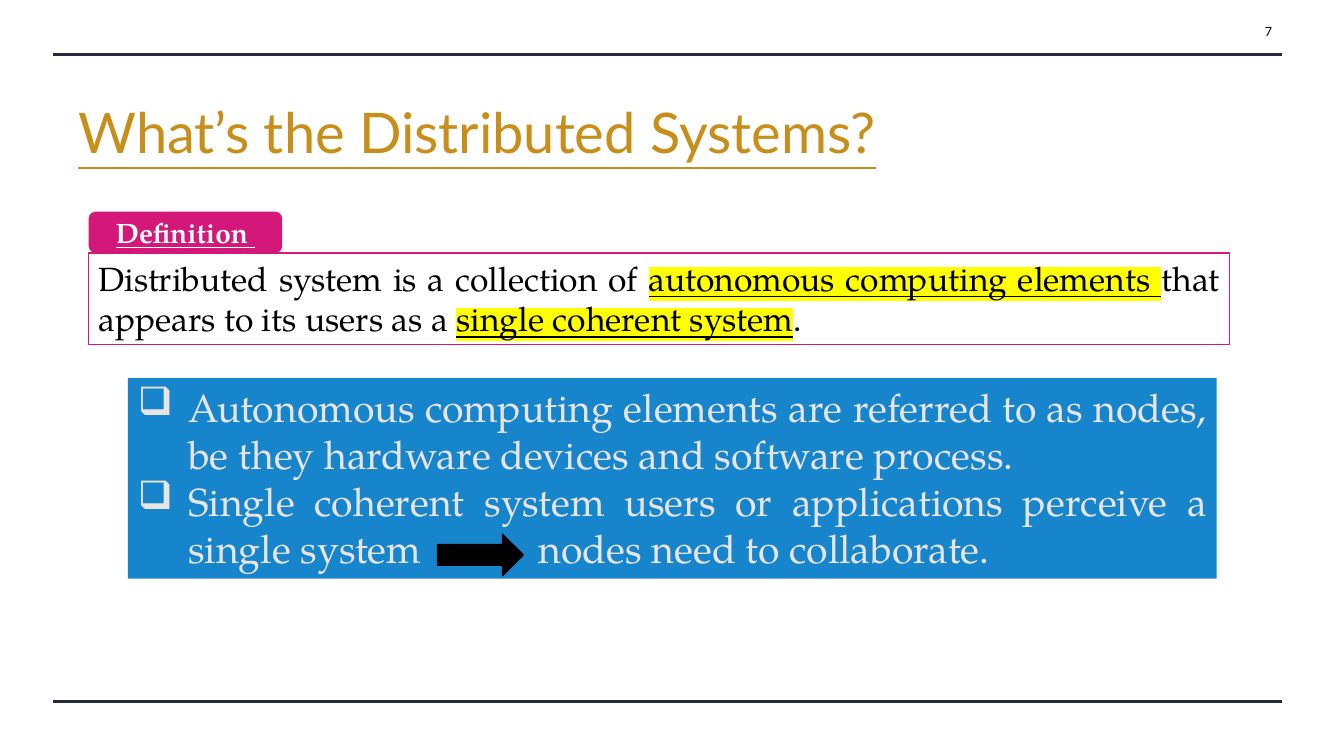
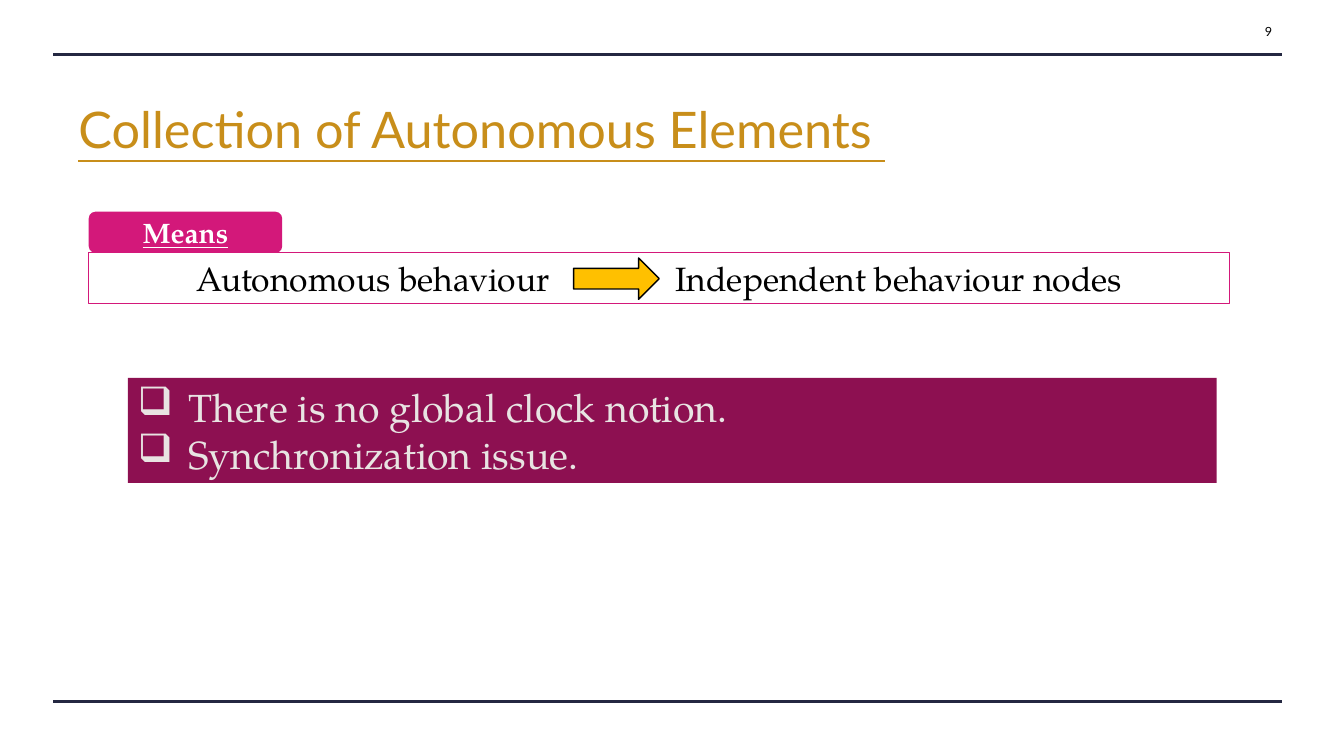
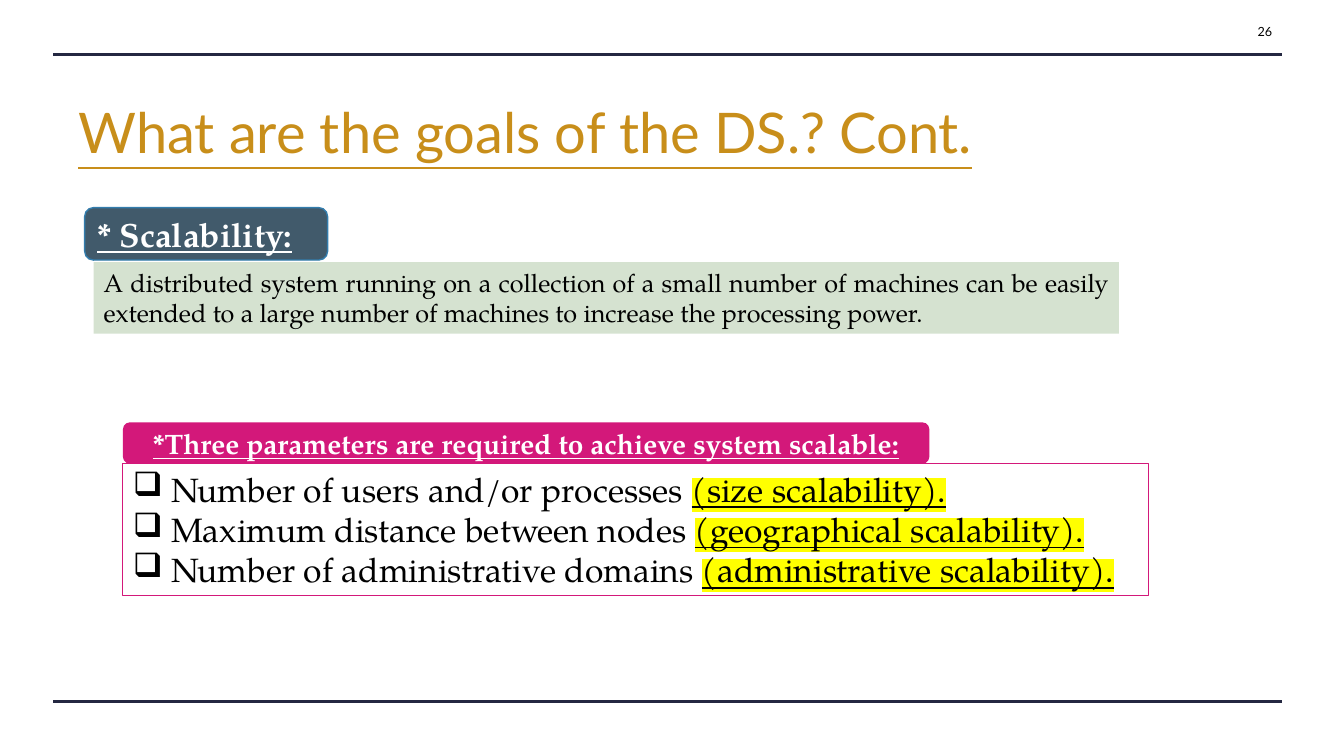
from pptx import Presentation
from pptx.dml.color import RGBColor
from pptx.enum.shapes import MSO_CONNECTOR, MSO_SHAPE
from pptx.enum.text import MSO_ANCHOR, PP_ALIGN
from pptx.oxml.ns import qn
from pptx.util import Pt
from lxml import etree

RECT, ROUND, ARROW = MSO_SHAPE.RECTANGLE, MSO_SHAPE.ROUNDED_RECTANGLE, MSO_SHAPE.RIGHT_ARROW
STRAIGHT = MSO_CONNECTOR.STRAIGHT
LEFT, CENTER, RIGHT, JUSTIFY = PP_ALIGN.LEFT, PP_ALIGN.CENTER, PP_ALIGN.RIGHT, PP_ALIGN.JUSTIFY
TOP, MIDDLE = MSO_ANCHOR.TOP, MSO_ANCHOR.MIDDLE

NAVY = RGBColor(0x24, 0x28, 0x41)
GOLD = RGBColor(0xC8, 0x8E, 0x1A)
PINK = RGBColor(0xD3, 0x18, 0x7A)
PLUM = RGBColor(0x8D, 0x10, 0x51)
BLUE = RGBColor(0x17, 0x85, 0xCC)
SLATE = RGBColor(0x41, 0x5A, 0x6B)
STEEL = RGBColor(0x33, 0x7D, 0xAD)
SAGE = RGBColor(0xD5, 0xE2, 0xD0)
AMBER = RGBColor(0xFF, 0xC0, 0x00)
PALE = RGBColor(0xE8, 0xE4, 0xE2)
WHITE = RGBColor(0xFF, 0xFF, 0xFF)
BLACK = RGBColor(0, 0, 0)
YELLOW = "FFFF00"

SANS, SERIF = "Lato", "TeX Gyre Pagella"
BULLET = "❑"
PLAIN, MARK, GAP = "plain", "mark", "gap"
GAP_SPACING = {24: 8400, 28: 7700}

TAB_HEIGHT = 41
RULE_LEFT, RULE_RIGHT = 53, 1272
RULES_Y = (54, 696)

SLIDES = [
    {
        "number": "7",
        "title": ("What’s the Distributed Systems?", 40),
        "framed": ((88, 251, 1132, 91), JUSTIFY, 0, [[
            ("Distributed system is a collection of ", PLAIN),
            ("autonomous computing elements ", MARK),
            ("that appears to its users as a ", PLAIN),
            ("single coherent system", MARK),
            (".", PLAIN),
        ]]),
        "panel": ((127, 375, 1080, 199), BLUE, 28, PALE, 50, [
            [("Autonomous computing elements are referred to as nodes, "
              "be they hardware devices and software process.", PLAIN)],
            [("Single coherent system users or applications perceive a single system", PLAIN),
             (" ", GAP),
             ("nodes need to collaborate.", PLAIN)],
        ]),
        "tab": ("Definition ", 192),
        "arrow": ((434, 530), BLACK),
    },
    {
        "number": "9",
        "title": ("Collection of Autonomous Elements ", 36),
        "framed": ((88, 251, 1132, 50), CENTER, 0, [[
            ("Autonomous behaviour", PLAIN),
            (" ", GAP),
            ("Independent behaviour nodes", PLAIN),
        ]]),
        "panel": ((127, 375, 1080, 104), PLUM, 28, PALE, 50, [
            [("There is no global clock notion.", PLAIN)],
            [("Synchronization issue.", PLAIN)],
        ]),
        "tab": ("Means", 192),
        "arrow": ((569, 256), AMBER),
    },
    {
        "number": "26",
        "title": ("What are the goals of the DS.? Cont.", 40),
        "heading": ("* Scalability:", (84, 206, 241, 52)),
        "panel": ((93, 260, 1017, 71), SAGE, 18, BLACK, 0, [
            [("A distributed system running on a collection of a small number of machines "
              "can be easily extended to a large number of machines to increase the "
              "processing power.", PLAIN)],
        ]),
        "framed": ((122, 460, 1017, 131), JUSTIFY, 38, [
            [("Number of users and/or processes ", PLAIN), ("(size scalability).", MARK)],
            [("Maximum distance between nodes ", PLAIN), ("(geographical scalability).", MARK)],
            [("Number of administrative domains ", PLAIN), ("(administrative scalability).", MARK)],
        ]),
        "tab": ("*Three parameters are required to achieve system scalable:", 800),
    },
]


def px(value):
    return round(value * 9144)


def add_run(p, text, kind, size, color, font, bold, underline):
    r = p.add_run()
    r.text = text
    r.font.size = Pt(size)
    r.font.name = font
    r.font.bold = bold
    r.font.underline = underline or kind == MARK
    r.font.color.rgb = color
    rPr = r.font._element
    if kind == MARK:
        highlight = etree.Element(qn("a:highlight"))
        etree.SubElement(highlight, qn("a:srgbClr"), val=YELLOW)
        rPr.find(qn("a:solidFill")).addnext(highlight)
    if kind == GAP:
        rPr.set("spc", str(GAP_SPACING[size]))


def write(shape, paragraphs, size, color, font=SERIF, align=LEFT, anchor=TOP,
          indent=0, bold=False, underline=False):
    tf = shape.text_frame
    tf.word_wrap = True
    tf.vertical_anchor = anchor
    for i, runs in enumerate(paragraphs):
        p = tf.add_paragraph() if i else tf.paragraphs[0]
        p.alignment = align
        if indent:
            pPr = p._p.get_or_add_pPr()
            pPr.set("marL", str(px(indent)))
            pPr.set("indent", str(-px(indent)))
            etree.SubElement(pPr, qn("a:buChar"), char=BULLET)
        for text, kind in runs:
            add_run(p, text, kind, size, color, font, bold, underline)


def add_box(s, kind, at, fill=None, line=None, width=1):
    sp = s.shapes.add_shape(kind, *map(px, at))
    sp.shadow.inherit = False
    if fill is None:
        sp.fill.background()
    else:
        sp.fill.solid()
        sp.fill.fore_color.rgb = fill
    if line is None:
        sp.line.fill.background()
    else:
        sp.line.color.rgb = line
        sp.line.width = Pt(width)
    return sp


def add_frame(s, number, title, title_size):
    for y in RULES_Y:
        rule = s.shapes.add_connector(STRAIGHT, *map(px, (RULE_LEFT, y, RULE_RIGHT, y)))
        rule.line.color.rgb = NAVY
        rule.line.width = Pt(2.25)
        etree.SubElement(rule._element.spPr, qn("a:effectLst"))
    tb = s.shapes.add_textbox(*map(px, (68, 92, 1183, 77)))
    write(tb, [[(title, PLAIN)]], title_size, GOLD, SANS, underline=True)
    tb = s.shapes.add_textbox(*map(px, (1202, 11, 70, 40)))
    write(tb, [[(number, PLAIN)]], 9, BLACK, SANS, RIGHT, MIDDLE)


def add_slide(prs, data):
    s = prs.slides.add_slide(prs.slide_layouts[6])
    add_frame(s, data["number"], *data["title"])

    if "heading" in data:
        text, at = data["heading"]
        sp = add_box(s, ROUND, at, SLATE, STEEL)
        write(sp, [[(text, PLAIN)]], 24, WHITE, anchor=MIDDLE, bold=True, underline=True)

    at, fill, size, color, indent, paragraphs = data["panel"]
    write(add_box(s, RECT, at, fill), paragraphs, size, color, align=JUSTIFY, indent=indent)

    at, align, indent, paragraphs = data["framed"]
    sp = add_box(s, RECT, at, line=PINK, width=0.75)
    write(sp, paragraphs, 24, BLACK, align=align, indent=indent)

    text, width = data["tab"]
    sp = add_box(s, ROUND, (at[0], at[1] - TAB_HEIGHT, width, TAB_HEIGHT), PINK)
    write(sp, [[(text, PLAIN)]], 20, WHITE, align=CENTER, anchor=MIDDLE,
          bold=True, underline=True)

    if "arrow" in data:
        corner, fill = data["arrow"]
        add_box(s, ARROW, (*corner, 85, 41), fill, BLACK)


def main():
    prs = Presentation()
    prs.slide_width, prs.slide_height = px(4000 / 3), px(750)
    for data in SLIDES:
        add_slide(prs, data)
    prs.save("out.pptx")


if __name__ == "__main__":
    main()
